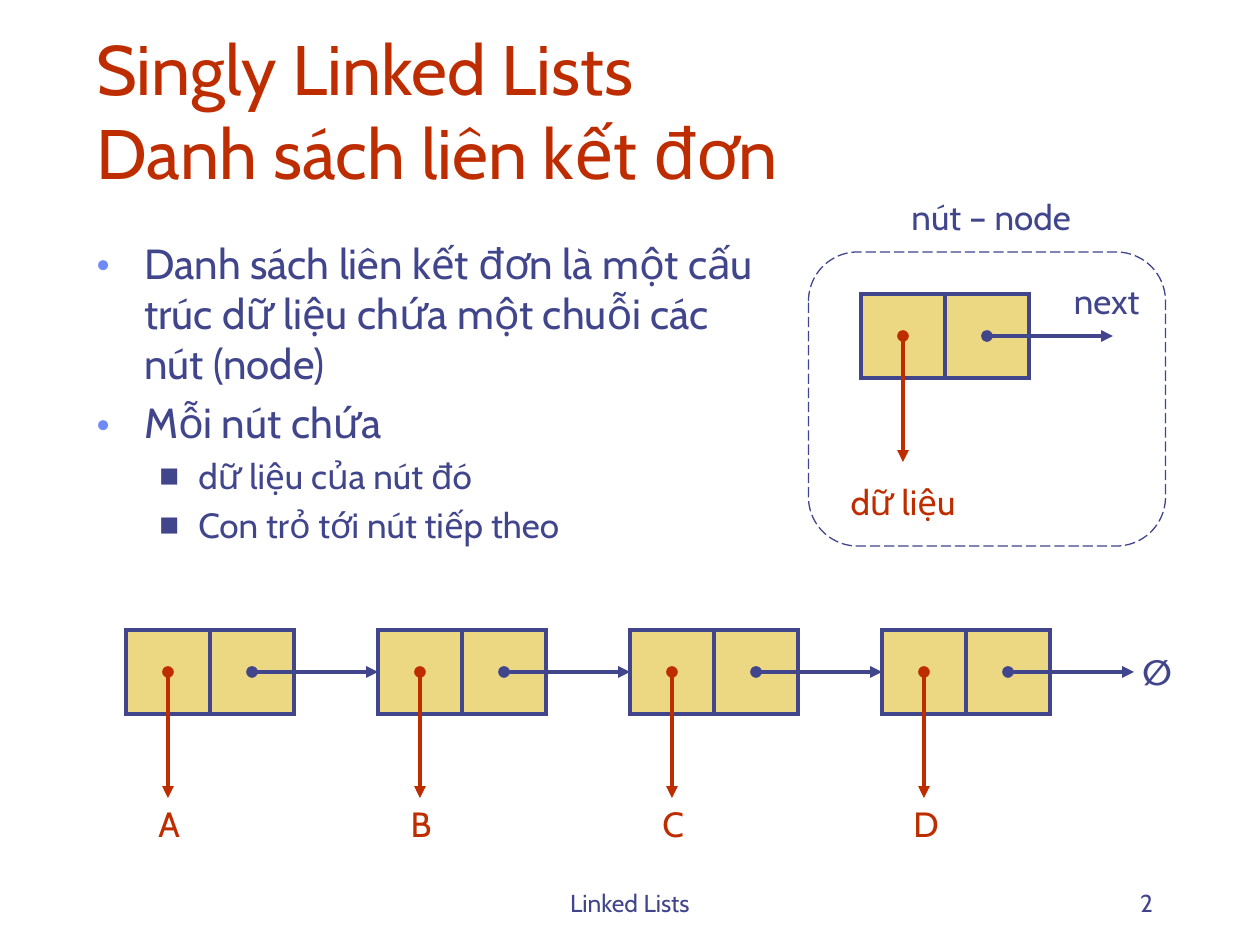
from copy import deepcopy
from dataclasses import dataclass

from lxml.etree import SubElement
from pptx import Presentation
from pptx.dml.color import RGBColor
from pptx.enum.dml import MSO_LINE_DASH_STYLE as Dash
from pptx.enum.shapes import MSO_CONNECTOR as Connector, MSO_SHAPE as Shape
from pptx.enum.text import MSO_ANCHOR as Anchor, MSO_AUTO_SIZE as AutoSize, PP_ALIGN as Align
from pptx.oxml.ns import qn
from pptx.util import Inches, Pt


@dataclass(frozen=True)
class Theme:
    font: str = "Cabin"
    ink: str = "40458C"
    accent: str = "BE2D00"
    cell: str = "ECD882"
    bullet: str = "6F89F7"
    title: int = 40
    body: int = 24
    label: int = 20
    footer: int = 14
    line: float = 2.25
    thin: float = 0.75


@dataclass(frozen=True)
class Level:
    size: int
    margin: float
    hanging: float
    char: str
    color: str
    percent: int


@dataclass(frozen=True)
class Node:
    col: float
    row: float


@dataclass(frozen=True)
class Label:
    """Text centred on a grid point, in a box some columns wide."""
    text: str
    col: float
    row: float
    width: float
    color: str
    bold: bool = False


THEME = Theme()
COLS = 30  # square grid, three units to the inch
CELL = 2   # side of one half of a node
REACH = 3  # length of a pointer arrow
PITCH = 6  # distance between nodes of the list
MAIN = Level(THEME.body, 0.38, 0.38, "•", THEME.bullet, 110)
SUB = Level(THEME.label, 0.81, 0.31, "■", THEME.ink, 60)
BULLETS = [
    (MAIN, "Danh sách liên kết đơn là một cấu trúc dữ liệu chứa một chuỗi các nút (node)"),
    (MAIN, "Mỗi nút chứa"),
    (SUB, "dữ liệu của nút đó"),
    (SUB, "Con trỏ tới nút tiếp theo"),
]


def grid(*units: float) -> list[int]:
    return [Inches(10 * u / COLS) for u in units]


def rgb(color: str) -> RGBColor:
    return RGBColor.from_string(color)


def write(p, text: str, *, size: int = THEME.label, color: str = THEME.ink,
          bold: bool = False, align=Align.LEFT) -> None:
    p.text = text
    p.alignment = align
    for r in p.runs:
        r.font.name, r.font.size, r.font.bold = THEME.font, Pt(size), bold
        r.font.color.rgb = rgb(color)
    # Line breaks take the format of the text around them
    for br in p._p.findall(qn("a:br")):
        br.append(deepcopy(p.runs[0]._r.rPr))


def add_box(slide, col: float, row: float, width: float, height: float, *,
            wrap: bool = True, anchor=Anchor.TOP):
    tf = slide.shapes.add_textbox(*grid(col, row, width, height)).text_frame
    tf.word_wrap, tf.vertical_anchor = wrap, anchor
    return tf


def add_label(slide, label: Label) -> None:
    height = 1.3
    tf = add_box(slide, label.col - label.width / 2, label.row - height / 2,
                 label.width, height, wrap=False)
    tf.auto_size = AutoSize.SHAPE_TO_FIT_TEXT
    write(tf.paragraphs[0], label.text, color=label.color, bold=label.bold, align=Align.CENTER)


def add_bullet(p, level: Level, text: str) -> None:
    write(p, text, size=level.size)
    p.level = 0 if level is MAIN else 1
    p.space_before = Pt(level.size * 0.2)
    pPr = p._p.get_or_add_pPr()
    pPr.set("marL", str(Inches(level.margin)))
    pPr.set("indent", str(-Inches(level.hanging)))
    SubElement(SubElement(pPr, qn("a:buClr")), qn("a:srgbClr"), val=level.color)
    SubElement(pPr, qn("a:buSzPct"), val=str(level.percent * 1000))
    SubElement(pPr, qn("a:buFont"), typeface=THEME.font)
    SubElement(pPr, qn("a:buChar"), char=level.char)


def add_outline(slide, kind, col: float, row: float, width: float, height: float, *,
                weight: float = THEME.line, fill: str | None = None):
    sp = slide.shapes.add_shape(kind, *grid(col, row, width, height))
    sp.shadow.inherit = False
    sp.line.color.rgb, sp.line.width = rgb(THEME.ink), Pt(weight)
    SubElement(sp.line._get_or_add_ln(), qn("a:miter"), lim="800000")
    if fill:
        sp.fill.solid()
        sp.fill.fore_color.rgb = rgb(fill)
    else:
        sp.fill.background()
    return sp


def add_pointer(slide, x: float, y: float, dx: float, dy: float, color: str) -> None:
    c = slide.shapes.add_connector(Connector.STRAIGHT, *grid(x, y, x + dx, y + dy))
    c.line.color.rgb, c.line.width = rgb(color), Pt(THEME.line)
    ln = c.line._get_or_add_ln()
    SubElement(ln, qn("a:headEnd"), type="oval")
    SubElement(ln, qn("a:tailEnd"), type="triangle")
    SubElement(c._element.spPr, qn("a:effectLst"))


def add_node(slide, node: Node) -> None:
    for i in range(2):
        add_outline(slide, Shape.RECTANGLE, node.col + i * CELL, node.row, CELL, CELL,
                    fill=THEME.cell)
    x, y = node.col + CELL / 2, node.row + CELL / 2
    add_pointer(slide, x, y, 0, REACH, THEME.accent)
    add_pointer(slide, x + CELL, y, REACH, 0, THEME.ink)


def main() -> None:
    prs = Presentation()
    prs.slide_width, prs.slide_height = Inches(10), Inches(7.5)
    slide = prs.slides.add_slide(prs.slide_layouts[5])

    # Title
    title = slide.shapes.title
    title.left, title.top, title.width, title.height = grid(2, 1, 25.5, 3.75)
    tf = title.text_frame
    tf.auto_size, tf.vertical_anchor = AutoSize.NONE, Anchor.BOTTOM
    write(tf.paragraphs[0], "Singly Linked Lists\vDanh sách liên kết đơn",
          size=THEME.title, color=THEME.accent)

    # Bullets
    tf = add_box(slide, 2, 5.5, 16.25, 9)
    for i, (level, text) in enumerate(BULLETS):
        add_bullet(tf.add_paragraph() if i else tf.paragraphs[0], level, text)

    # A single node and its parts
    frame = add_outline(slide, Shape.ROUNDED_RECTANGLE, 19.25, 6, 8.5, 7, weight=THEME.thin)
    frame.adjustments[0] = 0.167
    frame.line.dash_style = Dash.LONG_DASH
    add_node(slide, Node(20.5, 7))
    labels = [
        Label("nút – node", 23.6, 5.15, 4.75, THEME.ink),
        Label("next", 26.35, 7.15, 2.2, THEME.ink),
        Label("dữ liệu", 21.5, 11.95, 3.25, THEME.accent),
        Label("∅", 27.55, 16, 1.3, THEME.ink, bold=True),
    ]

    # The linked list
    for i, name in enumerate("ABCD"):
        node = Node(3 + i * PITCH, 15)
        add_node(slide, node)
        labels.append(Label(name, node.col + CELL / 2 + 0.03, 19.6, 1.15, THEME.accent))
    for label in labels:
        add_label(slide, label)

    # Footer
    for text, col, width, align in (("Linked Lists", 10.25, 9.5, Align.CENTER),
                                    ("2", 21.5, 6.25, Align.RIGHT)):
        tf = add_box(slide, col, 20.5, width, 1.5, anchor=Anchor.BOTTOM)
        write(tf.paragraphs[0], text, size=THEME.footer, align=align)

    prs.save("out.pptx")


if __name__ == "__main__":
    main()
